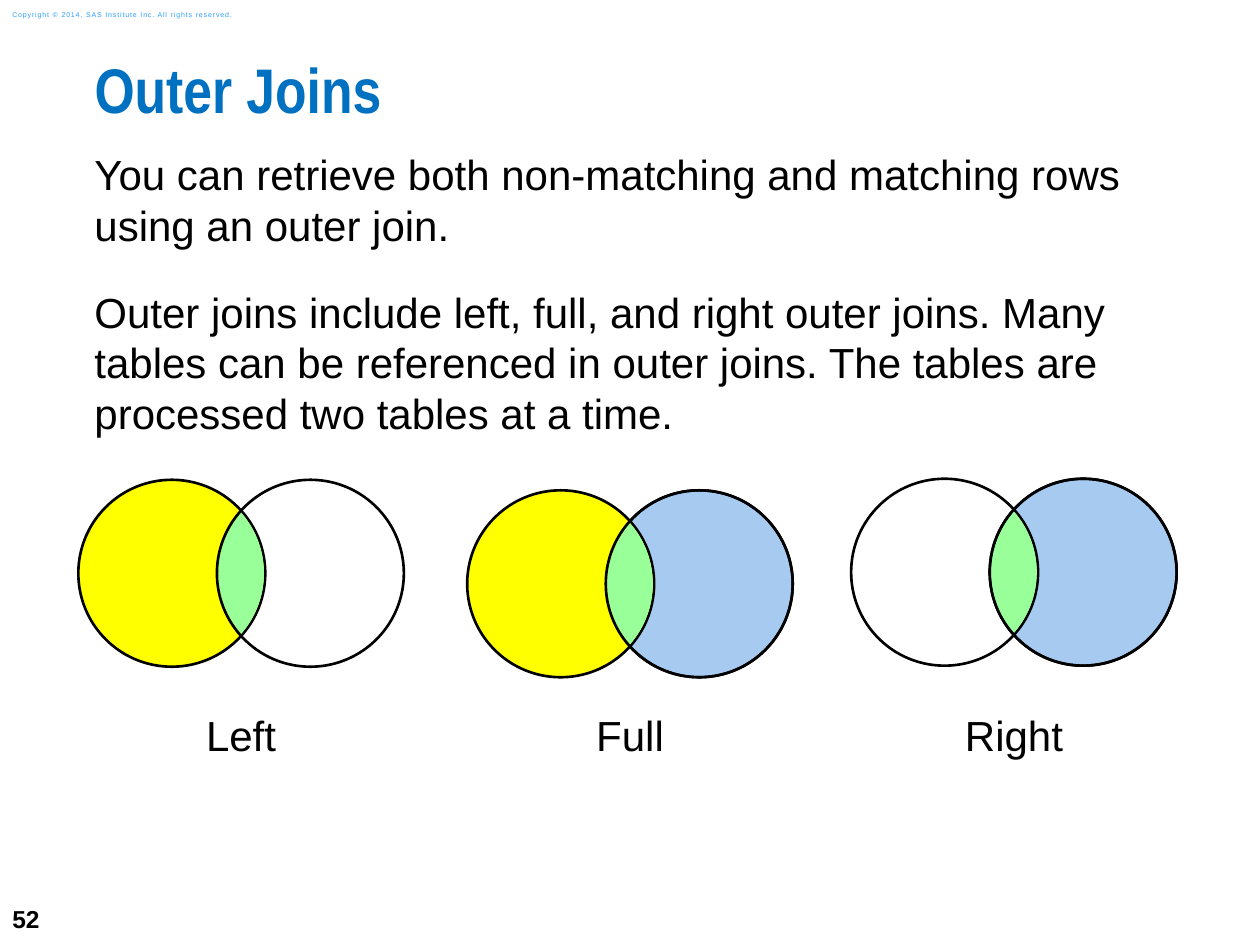
from math import acos, cos, pi, sin, tan

from lxml.etree import SubElement
from pptx import Presentation
from pptx.dml.color import RGBColor
from pptx.enum.shapes import MSO_SHAPE
from pptx.enum.text import MSO_ANCHOR, PP_ALIGN
from pptx.oxml.ns import qn
from pptx.util import Pt

BLACK = RGBColor(0x00, 0x00, 0x00)
TITLE_BLUE = RGBColor(0x00, 0x70, 0xC0)
NOTICE_BLUE = RGBColor(0x2A, 0x9C, 0xFF)
YELLOW = RGBColor(0xFF, 0xFF, 0x00)
PALE_BLUE = RGBColor(0xA6, 0xCA, 0xF0)
GREEN = RGBColor(0x99, 0xFF, 0x99)

DIAMETER = 106.8
CENTRE_GAP = 79.2
OUTLINE = 1.5
LABEL_TOP = 401.8

BODY = [
    "You can retrieve both non-matching and matching rows using an outer join.",
    "Outer joins include left, full, and right outer joins. Many tables can be "
    "referenced in outer joins. The tables are processed two tables at a time.",
]
JOINS = [
    ("Left", 55, 44.8, 274.2, YELLOW, None),
    ("Full", 54, 267, 280.2, YELLOW, PALE_BLUE),
    ("Right", 71, 486.4, 273.6, None, PALE_BLUE),
]


def add_text(page, bounds, lines, size, color=BLACK, font="Arial", bold=False,
             inset=(0, 0), anchor=MSO_ANCHOR.TOP, wrap=True):
    """Place a text box with one paragraph per line and return its text frame."""
    frame = page.shapes.add_textbox(*map(Pt, bounds)).text_frame
    frame.word_wrap = wrap
    frame.vertical_anchor = anchor
    frame.margin_left = frame.margin_right = Pt(inset[0])
    frame.margin_top = frame.margin_bottom = Pt(inset[1])
    frame.text = "\n".join(lines)
    for para in frame.paragraphs:
        for span in para.runs:
            span.font.name = font
            span.font.size = Pt(size)
            span.font.bold = bold
            span.font.color.rgb = color
    return frame


def add_title(page, bounds):
    """Place the slide title."""
    frame = add_text(page, bounds, ["Outer Joins"], 36, TITLE_BLUE,
                     "Arial Narrow", True)
    frame.paragraphs[0].line_spacing = 0.83


def add_body(page, bounds):
    """Place the explanatory paragraphs."""
    frame = add_text(page, bounds, BODY, 24)
    for para in frame.paragraphs[1:]:
        para.space_before = Pt(21)


def add_margin_text(page):
    """Place the copyright line and the slide number."""
    frame = add_text(page, (0, 2.2, 152, 12.2),
                     ["Copyright © 2014, SAS Institute Inc. All rights reserved."],
                     4, NOTICE_BLUE, inset=(7.2, 3.6), anchor=MSO_ANCHOR.MIDDLE)
    frame.paragraphs[0].runs[0].font._element.set("spc", "50")
    add_text(page, (0, 510, 42, 30), ["52"], 14, bold=True,
             inset=(7.2, 3.6), anchor=MSO_ANCHOR.MIDDLE, wrap=False)


def add_circle(page, left, top, fill):
    """Draw one outlined circle, hollow when it has no fill colour."""
    circle = page.shapes.add_shape(
        MSO_SHAPE.OVAL, Pt(left), Pt(top), Pt(DIAMETER), Pt(DIAMETER))
    circle.shadow.inherit = False
    if fill is None:
        circle.fill.background()
    else:
        circle.fill.solid()
        circle.fill.fore_color.rgb = fill
    circle.line.color.rgb = BLACK
    circle.line.width = Pt(OUTLINE)


def arc_curves(centre, middle, radius, start, sweep):
    """Return two cubic curves, each four points, that follow an arc."""
    half = sweep / 2
    reach = 4 / 3 * tan(half / 4)
    curves = []
    for first in (start, start + half):
        last = first + half
        polar = [(cos(first), sin(first)),
                 (cos(first) - reach * sin(first), sin(first) + reach * cos(first)),
                 (cos(last) + reach * sin(last), sin(last) - reach * cos(last)),
                 (cos(last), sin(last))]
        curves.append([(Pt(centre + radius * x), Pt(middle + radius * y))
                       for x, y in polar])
    return curves


def add_lens(page, left, top):
    """Fill the area shared by the two circles, just inside their outlines."""
    radius = DIAMETER / 2
    inner = radius - OUTLINE / 2
    spread = acos(CENTRE_GAP / 2 / inner)
    curves = []
    for centre, facing in ((left + radius, 0), (left + radius + CENTRE_GAP, pi)):
        curves += arc_curves(centre, top + radius, inner,
                             facing - spread, 2 * spread)
    builder = page.shapes.build_freeform(*curves[0][0])
    builder.add_line_segments([curve[-1] for curve in curves], close=True)
    lens = builder.convert_to_shape()
    lens.shadow.inherit = False
    lens.fill.solid()
    lens.fill.fore_color.rgb = GREEN
    lens.line.fill.background()
    for segment, curve in zip(list(lens._element.iter(qn("a:lnTo"))), curves):
        segment.tag = qn("a:cubicBezTo")
        segment.clear()
        for x, y in curve[1:]:
            SubElement(segment, qn("a:pt"),
                       x=str(x - lens.left), y=str(y - lens.top))


def add_join(page, label, width, left, top, left_fill, right_fill):
    """Draw two overlapping circles and the join name centred below them."""
    right = left + CENTRE_GAP
    if right_fill is not None:
        add_circle(page, right, top, right_fill)
    add_circle(page, left, top, left_fill)
    add_lens(page, left, top)
    add_circle(page, right, top, None)
    centre = (right + left + DIAMETER) / 2
    frame = add_text(page, (centre - width / 2, LABEL_TOP, width, 36.7),
                     [label], 24, inset=(7.2, 3.6), wrap=False)
    frame.paragraphs[0].alignment = PP_ALIGN.CENTER


def main():
    """Build and save the slide."""
    deck = Presentation()
    deck.slide_width, deck.slide_height = Pt(720), Pt(540)
    page = deck.slides.add_slide(deck.slide_layouts[6])
    add_margin_text(page)
    add_title(page, (54, 36, 666, 53))
    add_body(page, (54, 85, 618, 335))
    for join in JOINS:
        add_join(page, *join)
    deck.save("out.pptx")


if __name__ == "__main__":
    main()
